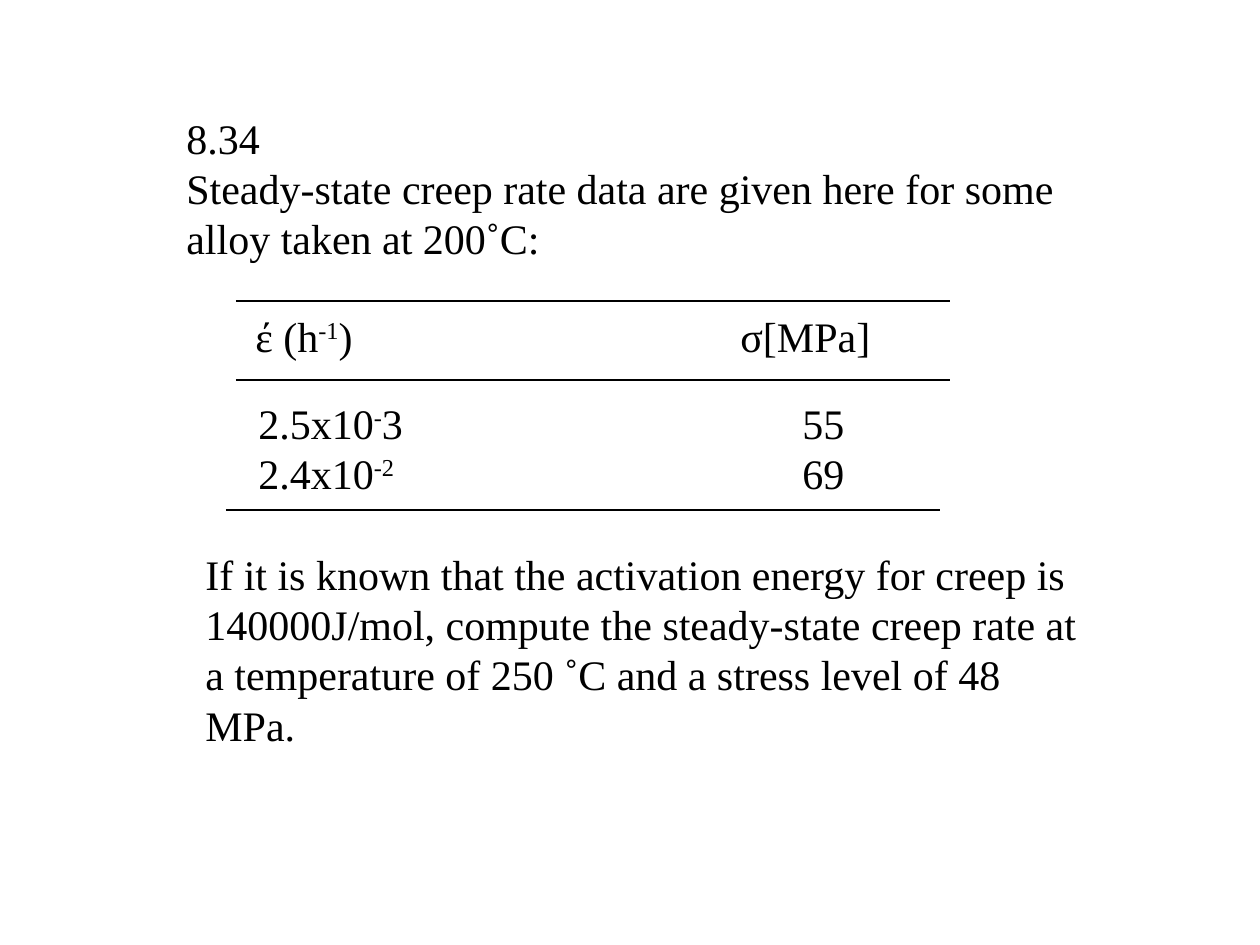
from lxml import etree
from pptx import Presentation
from pptx import util as u
from pptx.dml.color import RGBColor
from pptx.enum import shapes, text
from pptx.oxml.ns import qn

BLACK = RGBColor(0, 0, 0)
FONT = "Times New Roman"
SCALE = u.Inches(1) // 126
SUPERSCRIPT = "30000"


def px(length):
    return length * SCALE


def add_tab_stop(paragraph, position):
    stops = etree.SubElement(paragraph._p.get_or_add_pPr(), qn("a:tabLst"))
    etree.SubElement(stops, qn("a:tab"), pos=str(px(position)), algn="l")


def add_text(slide, left, top, width, height, paragraphs, tab=None):
    box = slide.shapes.add_textbox(px(left), px(top), px(width), px(height))
    frame = box.text_frame
    frame.word_wrap = True
    frame.auto_size = text.MSO_AUTO_SIZE.SHAPE_TO_FIT_TEXT
    for index, pieces in enumerate(paragraphs):
        paragraph = frame.add_paragraph() if index else frame.paragraphs[0]
        if tab:
            add_tab_stop(paragraph, tab)
        paragraph.line_spacing = u.Pt(28.8)
        for position, piece in enumerate(pieces):
            run = paragraph.add_run()
            run.text = piece
            run.font.name = FONT
            run.font.size = u.Pt(24)
            run.font.color.rgb = BLACK
            if position % 2:
                run.font._element.set("baseline", SUPERSCRIPT)


def add_rule(slide, left, top, width):
    rule = slide.shapes.add_connector(
        shapes.MSO_CONNECTOR.STRAIGHT, px(left), px(top), px(left + width), px(top))
    rule.line.color.rgb = BLACK
    rule.line.width = u.Pt(0.75)
    etree.SubElement(rule._element.spPr, qn("a:effectLst"))


def main():
    deck = Presentation()
    deck.slide_width, deck.slide_height = px(1260), px(945)
    slide = deck.slides.add_slide(deck.slide_layouts[6])

    add_text(slide, 174, 106, 912, 164, [
        ["8.34"],
        ["Steady-state creep rate data are given here for some alloy taken at 200˚C:"],
    ])
    for left, top in [(236, 301), (236, 380), (226, 510)]:
        add_rule(slide, left, top, 714)
    add_text(slide, 193, 542, 896, 214, [
        ["If it is known that the activation energy for creep is 140000J/mol, "
         "compute the steady-state creep rate at a temperature of 250 ˚C "
         "and a stress level of 48 MPa."],
    ])
    add_text(slide, 243, 304, 745, 63, [["έ (h", "-1", ")\tσ[MPa]"]], tab=485)
    add_text(slide, 246, 391, 684, 113, [
        ["2.5x10", "-", "3\t55"],
        ["2.4x10", "-2", "\t69"],
    ], tab=544)
    deck.save("out.pptx")


if __name__ == "__main__":
    main()
